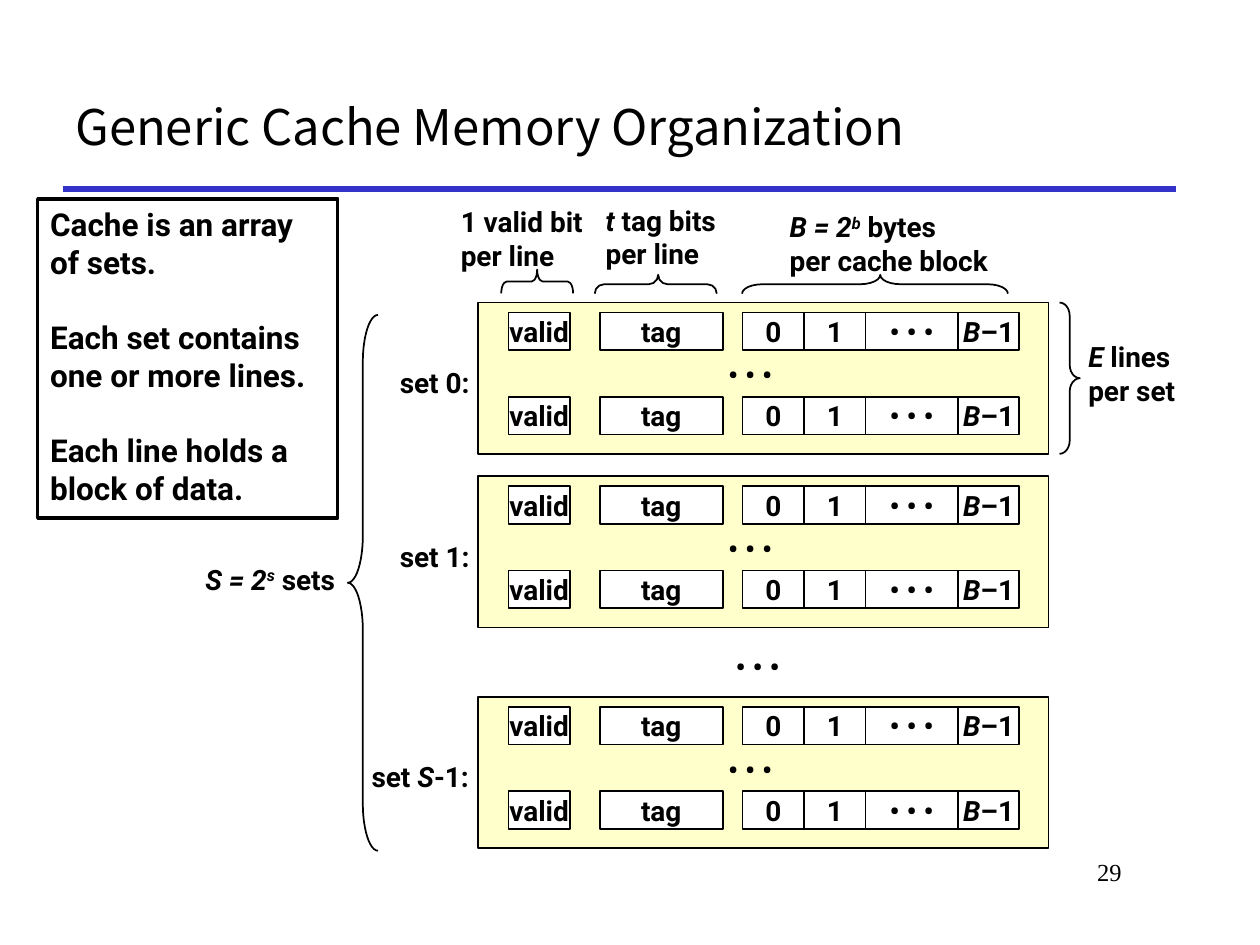
from dataclasses import dataclass

from lxml.etree import SubElement as Sub
from pptx import Presentation
from pptx.dml.color import RGBColor as Rgb
from pptx.enum.shapes import MSO_CONNECTOR as Conn, MSO_SHAPE as Kind
from pptx.enum.text import MSO_ANCHOR as Anchor, PP_ALIGN as Align
from pptx.oxml.ns import qn
from pptx.util import Cm, Pt


@dataclass(frozen=True)
class Theme:
    """Colours, fonts and type sizes of the slide."""
    ink: Rgb = Rgb(0, 0, 0)
    paper: Rgb = Rgb(255, 255, 255)
    rule: Rgb = Rgb(0x33, 0x33, 0xCC)
    tint: Rgb = Rgb(0xFF, 0xFF, 0x99)
    head: str = "Noto Sans CJK KR"
    body: str = "Roboto"
    foot: str = "Times New Roman"
    title: int = 28
    note: int = 18
    label: int = 16
    page: int = 14


THEME = Theme()
DOTS = [[("• • •", "")]]


def write(shape, paras, size=THEME.label, face=THEME.body, bold=True,
          align=Align.LEFT, anchor=Anchor.MIDDLE, wrap=False):
    """Fill a shape with paragraphs of (text, style) runs; i is italic, s superscript."""
    frame = shape.text_frame
    frame.word_wrap = wrap
    frame.vertical_anchor = anchor
    for num, runs in enumerate(paras):
        para = frame.paragraphs[0] if num == 0 else frame.add_paragraph()
        para.alignment = align
        for text, style in runs:
            run = para.add_run()
            run.text = text
            font = run.font
            font.name, font.size = face, Pt(size)
            font.bold, font.italic = bold, "i" in style
            font.color.rgb = THEME.ink
            if "s" in style:
                run._r.get_or_add_rPr().set("baseline", "30000")
    return frame


def label(slide, box, paras, **look):
    """Add a text box."""
    return write(slide.shapes.add_textbox(*map(Cm, box)), paras, **look)


def block(slide, box, kind=Kind.RECTANGLE, fill=None, width=1):
    """Add an outlined shape, with or without a fill."""
    shape = slide.shapes.add_shape(kind, *map(Cm, box))
    shape.shadow.inherit = False
    shape.line.color.rgb = THEME.ink
    shape.line.width = Pt(width)
    if fill is None:
        shape.fill.background()
    else:
        shape.fill.solid()
        shape.fill.fore_color.rgb = fill
    return shape


def brace(slide, box, curve, kind=Kind.RIGHT_BRACE, mid=0.5, turn=0):
    """Add a curly brace."""
    shape = block(slide, box, kind)
    shape.adjustments[0], shape.adjustments[1] = curve, mid
    shape.rotation = turn


def header(slide, box):
    """Add the title and the rule below it."""
    left, top, width, height = box
    label(slide, box, [[("Generic Cache Memory Organization", "")]],
          size=THEME.title, face=THEME.head, bold=False, wrap=True)
    base = Cm(top + height)
    rule = slide.shapes.add_connector(
        Conn.STRAIGHT, Cm(left), base, Cm(left + width), base)
    rule.line.color.rgb = THEME.rule
    rule.line.width = Pt(3)
    Sub(rule._element.spPr, qn("a:effectLst"))


def note(slide, box):
    """Add the framed summary on the left."""
    points = [("Cache is an array", "of sets."),
              ("Each set contains", "one or more lines."),
              ("Each line holds a", "block of data.")]
    paras = [[(text, "")] for pair in points for text in pair]
    frame = write(block(slide, box, width=2), paras,
                  size=THEME.note, anchor=Anchor.TOP)
    for para in frame.paragraphs[2::2]:
        para.space_before = Pt(21.3)


def line(slide, left, top):
    """Add one cache line: valid bit, tag and bytes."""
    unit, high = 1.24, 0.76
    cells = [(0, unit, [("valid", "")]),
             (1.84, 2 * unit, [("tag", "")]),
             (4.72, unit, [("0", "")]),
             (4.72 + unit, unit, [("1", "")]),
             (4.72 + 2 * unit, 1.5 * unit, DOTS[0]),
             (4.72 + 3.5 * unit, unit, [("B", "i"), ("–1", "")])]
    for shift, width, runs in cells:
        cell = block(slide, (left + shift, top, width, high), fill=THEME.paper)
        write(cell, [runs], align=Align.CENTER)


def cache_set(slide, box, name, wide):
    """Add one set with its name, two lines and the dots between them."""
    left, top, _, _ = box
    back = block(slide, box, fill=THEME.tint)
    tone = back._element.spPr.find(qn("a:solidFill"))[0]
    Sub(tone, qn("a:alpha"), val="50000")
    for drop in (0.2, 1.9):
        line(slide, left + 0.62, top + drop)
    label(slide, (left + 4.8, top + 1.07, 1.85, 0.76), DOTS)
    label(slide, (left + 0.18 - wide, top + 1.14, wide, 0.94), [name])


def sets(slide, box):
    """Add all sets, the dots for those left out, and their braces."""
    left, top, width, height = box
    high = 3.05
    rows = [(0, [("set 0:", "")], 2),
            (3.5, [("set 1:", "")], 2),
            (height - high, [("set ", ""), ("S", "i"), ("-1:", "")], 2.57)]
    for drop, name, wide in rows:
        cache_set(slide, (left, top + drop, width, high), name, wide)
    label(slide, (left + 4.95, top + 6.96, 1.85, 0.76), DOTS)
    brace(slide, (left + width + 0.22, top, 0.41, high), 0.66)
    label(slide, (left + width + 0.55, top + 0.61, 2.64, 1.63),
          [[("E", "i"), (" lines", "")], [("per set", "")]])
    brace(slide, (left - 2.62, top + 0.25, 0.61, 10.8), 1.56, Kind.LEFT_BRACE)
    label(slide, (left - 5.74, top + 5.1, 3.35, 0.94),
          [[("S = 2", "i"), ("s", "is"), (" sets", "")]])


def fields(slide, left, top):
    """Add the headings and braces above the columns of the first set."""
    label(slide, (left, top, 3.12, 1.63),
          [[("1 valid bit", "")], [("per line", "")]])
    label(slide, (left + 2.92, top - 0.03, 2.87, 1.63),
          [[("t ", "i"), ("tag bits", "")], [("per line", "")]])
    label(slide, (left + 6.63, top + 0.12, 4.78, 1.6),
          [[("B = 2", "i"), ("b", "is"), (" bytes", "")],
           [("per cache block", "")]])
    brace(slide, (left + 1.55, top + 0.96, 0.48, 1.45), 0.23, turn=270)
    brace(slide, (left + 3.99, top + 0.51, 0.38, 2.46), 0.5, mid=0.52, turn=270)
    brace(slide, (left + 8.41, top - 0.94, 0.38, 5.36), 1.08, mid=0.52, turn=270)


def main():
    """Build and save the slide."""
    deck = Presentation()
    deck.slide_width, deck.slide_height = Cm(25.4), Cm(19.05)
    slide = deck.slides.add_slide(deck.slide_layouts[6])
    header(slide, (1.27, 1.27, 22.43, 2.54))
    note(slide, (0.76, 4.01, 6.05, 6.43))
    sets(slide, (9.63, 6.1, 11.51, 11))
    fields(slide, 9.04, 3.99)
    label(slide, (19.25, 17.15, 3.61, 1.27), [[("29", "")]], size=THEME.page,
          face=THEME.foot, bold=False, align=Align.RIGHT,
          anchor=Anchor.TOP, wrap=True)
    deck.save("out.pptx")


if __name__ == "__main__":
    main()
